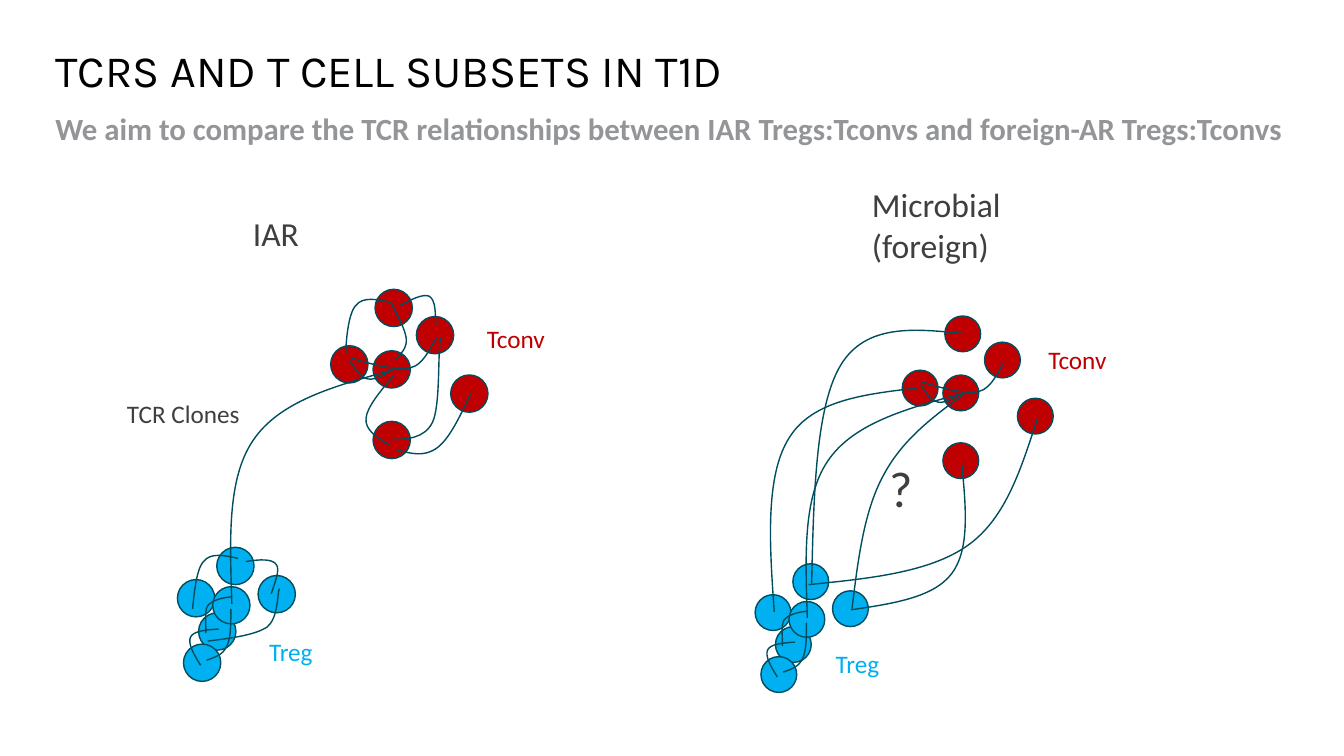
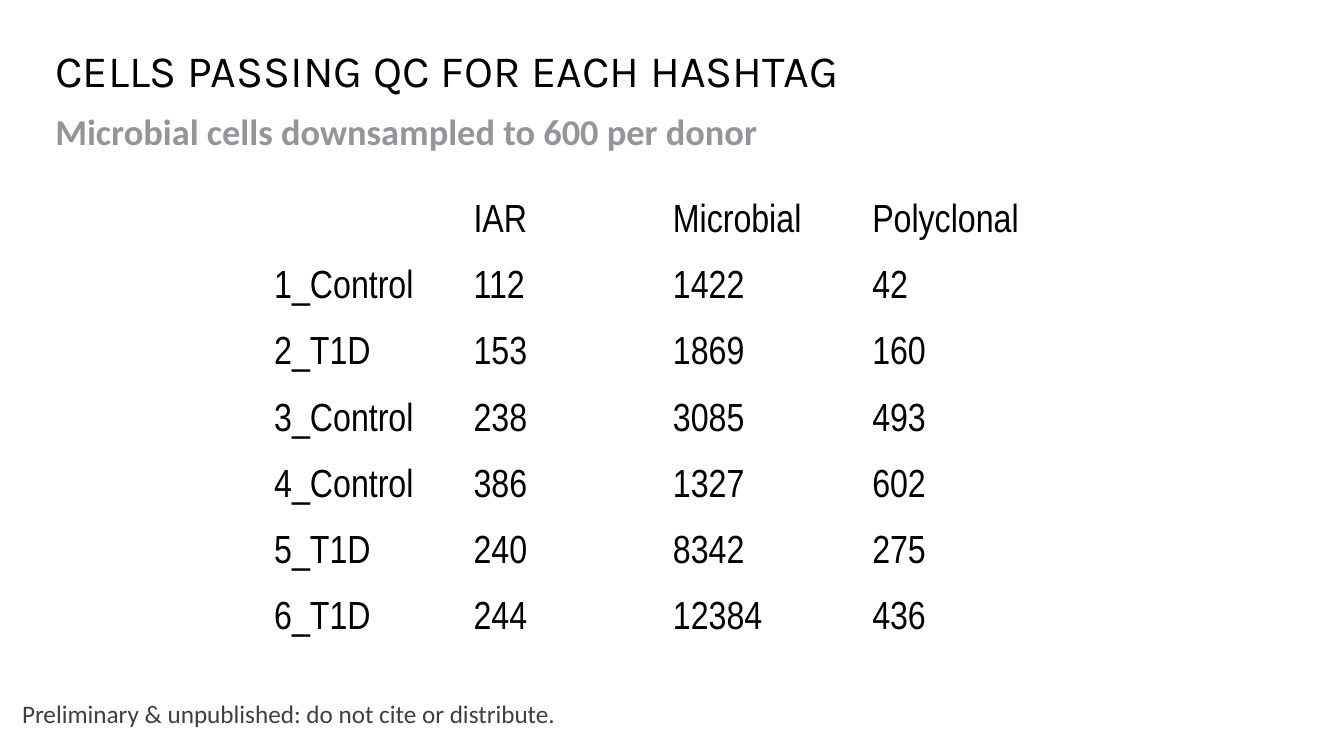
import pptx
import pptx.util
import pptx.dml.color
import pptx.enum.shapes
import pptx.enum.text
import pptx.oxml.ns

Inches = pptx.util.Inches
Pt = pptx.util.Pt
RGBColor = pptx.dml.color.RGBColor
ANCHOR = pptx.enum.text.MSO_ANCHOR

BLACK = RGBColor(0x00, 0x00, 0x00)
DARK = RGBColor(0x3F, 0x3F, 0x3F)
GREY = RGBColor(0x93, 0x95, 0x98)
TEAL = RGBColor(0x00, 0x4D, 0x5E)
RED = RGBColor(0xC0, 0x00, 0x00)
BLUE = RGBColor(0x00, 0xB0, 0xF0)

CELL_SIZE = 0.37
TCONV_CELLS = [(3.72, 2.87), (3.28, 3.43), (4.47, 3.72),
               (3.70, 4.18), (3.70, 3.48), (4.13, 3.14)]
TREG_CELLS = [(2.15, 5.43), (1.76, 5.75), (1.97, 6.08),
              (1.82, 6.39), (2.11, 5.82), (2.56, 5.71)]

SHARED_LINKS = [
    [(3.47, 3.58), (3.53, 3.67), (3.58, 3.75), (3.65, 3.76), (3.73, 3.78), (3.86, 3.68), (3.91, 3.66)],
    [(3.48, 3.55), (3.70, 3.62), (3.93, 3.68), (4.07, 3.65), (4.21, 3.62), (4.29, 3.40), (4.33, 3.35)],
    [(2.29, 6.04), (2.29, 6.18), (2.29, 6.33), (2.25, 6.41), (2.21, 6.50), (2.13, 6.52), (2.05, 6.55)],
    [(2.30, 5.92), (2.21, 5.93), (2.11, 5.95), (2.06, 6.01), (2.02, 6.07), (2.05, 6.23), (2.04, 6.28)],
    [(1.99, 6.60), (1.92, 6.49), (1.86, 6.38), (1.89, 6.32), (1.92, 6.26), (2.04, 6.25), (2.17, 6.24)],
    [(2.30, 5.99), (2.28, 5.37), (2.25, 4.75), (2.51, 4.37), (2.77, 3.98), (3.32, 3.83), (3.86, 3.68)],
]
IAR_LINKS = [
    [(3.88, 3.00), (3.74, 2.97), (3.60, 2.94), (3.53, 3.03), (3.45, 3.11), (3.43, 3.42), (3.43, 3.50)],
    [(3.88, 3.01), (3.95, 3.14), (4.02, 3.27), (4.03, 3.36), (4.04, 3.45), (3.98, 3.51), (3.92, 3.57)],
    [(4.67, 3.90), (4.57, 4.12), (4.46, 4.35), (4.34, 4.44), (4.21, 4.54), (4.07, 4.50), (3.93, 4.46)],
    [(3.87, 4.36), (4.04, 4.36), (4.21, 4.35), (4.29, 4.19), (4.37, 4.02), (4.34, 3.51), (4.37, 3.35)],
    [(3.86, 4.41), (3.74, 4.34), (3.62, 4.27), (3.63, 4.15), (3.64, 4.04), (3.77, 3.88), (3.91, 3.72)],
    [(3.97, 3.03), (4.08, 2.97), (4.20, 2.91), (4.26, 2.94), (4.32, 2.98), (4.32, 3.11), (4.32, 3.23)],
    [(2.36, 5.54), (2.23, 5.51), (2.09, 5.48), (2.02, 5.57), (1.94, 5.65), (1.92, 5.96), (1.91, 6.04)],
    [(2.06, 6.36), (2.30, 6.33), (2.53, 6.30), (2.65, 6.22), (2.76, 6.13), (2.75, 5.90), (2.77, 5.84)],
    [(2.44, 5.57), (2.57, 5.55), (2.70, 5.54), (2.74, 5.60), (2.78, 5.65), (2.73, 5.77), (2.69, 5.89)],
]
MICROBIAL_LINKS = [
    [(8.44, 6.05), (8.85, 5.99), (9.26, 5.93), (9.44, 5.69), (9.62, 5.45), (9.58, 5.03), (9.54, 4.61)],
    [(7.68, 6.07), (7.63, 5.39), (7.59, 4.71), (7.83, 4.34), (8.06, 3.97), (8.58, 3.91), (9.09, 3.85)],
    [(8.02, 5.80), (8.62, 5.74), (9.22, 5.68), (9.60, 5.41), (9.98, 5.14), (10.13, 4.64), (10.29, 4.15)],
    [(8.05, 5.79), (8.07, 4.91), (8.09, 4.03), (8.34, 3.62), (8.59, 3.21), (9.07, 3.26), (9.56, 3.31)],
    [(8.45, 6.04), (8.51, 5.55), (8.57, 5.07), (8.76, 4.72), (8.95, 4.36), (9.25, 4.14), (9.56, 3.91)],
]

QC_COUNTS = [
    ("", "IAR", "Microbial", "Polyclonal"),
    ("1_Control", "112", "1422", "42"),
    ("2_T1D", "153", "1869", "160"),
    ("3_Control", "238", "3085", "493"),
    ("4_Control", "386", "1327", "602"),
    ("5_T1D", "240", "8342", "275"),
    ("6_T1D", "244", "12384", "436"),
]


class Deck:
    def __init__(self):
        self.prs = pptx.Presentation()
        self.prs.slide_width = Inches(13.33)
        self.prs.slide_height = Inches(7.5)
        self.s = None

    def style(self, tf, size, font, color, bold=False):
        for p in tf.paragraphs:
            p.alignment = pptx.enum.text.PP_ALIGN.LEFT
            for r in p.runs:
                r.font.size = Pt(size)
                r.font.name = font
                r.font.bold = bold
                r.font.color.rgb = color

    def slide(self, title, subtitle, subtitle_size):
        self.s = self.prs.slides.add_slide(self.prs.slide_layouts[5])
        sp = self.s.shapes.title
        sp.left, sp.top = Inches(0.45), Inches(0.4)
        sp.width, sp.height = Inches(12.43), Inches(0.65)
        tf = sp.text_frame
        tf.text = title
        tf.vertical_anchor = ANCHOR.MIDDLE
        tf.paragraphs[0].line_spacing = 0.9
        self.style(tf, 32, "Karla", BLACK)
        tf = self.text(subtitle, 0.45, 1.08, 12.43, 0.53, subtitle_size, GREY, True)
        tf.paragraphs[0].line_spacing = 0.9

    def text(self, text, x, y, w, h, size=18, color=DARK, bold=False):
        tf = self.s.shapes.add_textbox(Inches(x), Inches(y), Inches(w), Inches(h)).text_frame
        tf.word_wrap = True
        tf.text = text
        self.style(tf, size, "Calibri", color, bold)
        return tf

    def outline(self, sp):
        sp.shadow.inherit = False
        sp.line.color.rgb = TEAL
        sp.line.width = Pt(1)

    def cell(self, group, x, y, size, color):
        sp = group.shapes.add_shape(pptx.enum.shapes.MSO_SHAPE.OVAL,
                                    Inches(x), Inches(y), Inches(size), Inches(size))
        sp.fill.solid()
        sp.fill.fore_color.rgb = color
        self.outline(sp)

    def link(self, group, points):
        start, *rest = [(Inches(x), Inches(y)) for x, y in points]
        builder = group.shapes.build_freeform(*start)
        builder.add_line_segments(rest, close=False)
        sp = builder.convert_to_shape()
        sp.fill.background()
        self.outline(sp)
        lines = sp._element.xpath(".//a:lnTo")
        for i in range(0, len(lines), 3):
            curve = lines[i].makeelement(pptx.oxml.ns.qn("a:cubicBezTo"))
            lines[i].addprevious(curve)
            for line in lines[i:i + 3]:
                curve.append(line[0])
                line.getparent().remove(line)

    def clones(self, own_links, dx=0, dy=0, scale=1):
        def place(x, y):
            return dx + scale * x, dy + scale * y

        group = self.s.shapes.add_group_shape()
        for cells, color in ((TCONV_CELLS, RED), (TREG_CELLS, BLUE)):
            for x, y in cells:
                self.cell(group, *place(x, y), scale * CELL_SIZE, color)
        for points in SHARED_LINKS:
            self.link(group, [place(x, y) for x, y in points])
        for points in own_links:
            self.link(group, points)

    def table(self, rows, x, y, w, h):
        table = self.s.shapes.add_table(len(rows), len(rows[0]), Inches(x), Inches(y),
                                        Inches(w), Inches(h)).table
        table.first_row = table.horz_banding = False
        for i, row in enumerate(rows):
            for j, value in enumerate(row):
                cell = table.cell(i, j)
                cell.fill.background()
                cell.vertical_anchor = ANCHOR.BOTTOM
                cell.margin_left = cell.margin_right = cell.margin_top = Inches(0.01)
                cell.margin_bottom = 0
                if value:
                    cell.text_frame.text = value
                    self.style(cell.text_frame, 28, "Arial Narrow", BLACK)


def main():
    deck = Deck()

    deck.slide("TCRS AND T CELL SUBSETS IN T1D",
               "We aim to compare the TCR relationships between IAR Tregs:Tconvs "
               "and foreign-AR Tregs:Tconvs", 22)
    deck.text("IAR", 2.41, 2.06, 0.7, 0.5, 24)
    deck.text("Microbial (foreign)", 8.55, 1.78, 2.0, 0.91, 24)
    deck.clones(IAR_LINKS)
    deck.clones(MICROBIAL_LINKS, 5.8, 0.38, 0.96)
    deck.text("?", 8.72, 4.49, 0.52, 0.99, 36)
    for label, x, y, color in (("TCR Clones", 1.16, 3.9, DARK),
                               ("Treg", 2.57, 6.26, BLUE),
                               ("Tconv", 4.73, 3.16, RED),
                               ("Treg", 8.19, 6.38, BLUE),
                               ("Tconv", 10.3, 3.37, RED)):
        deck.text(label, x, y, 1.51, 0.4, color=color)

    deck.slide("CELLS PASSING QC FOR EACH HASHTAG",
               "Microbial cells downsampled to 600 per donor", 26)
    deck.text("Preliminary & unpublished: do not cite or distribute.", 0.12, 6.88, 5.72, 0.4)
    deck.table(QC_COUNTS, 2.71, 1.73, 7.91, 4.6)

    deck.prs.save("out.pptx")


if __name__ == "__main__":
    main()
